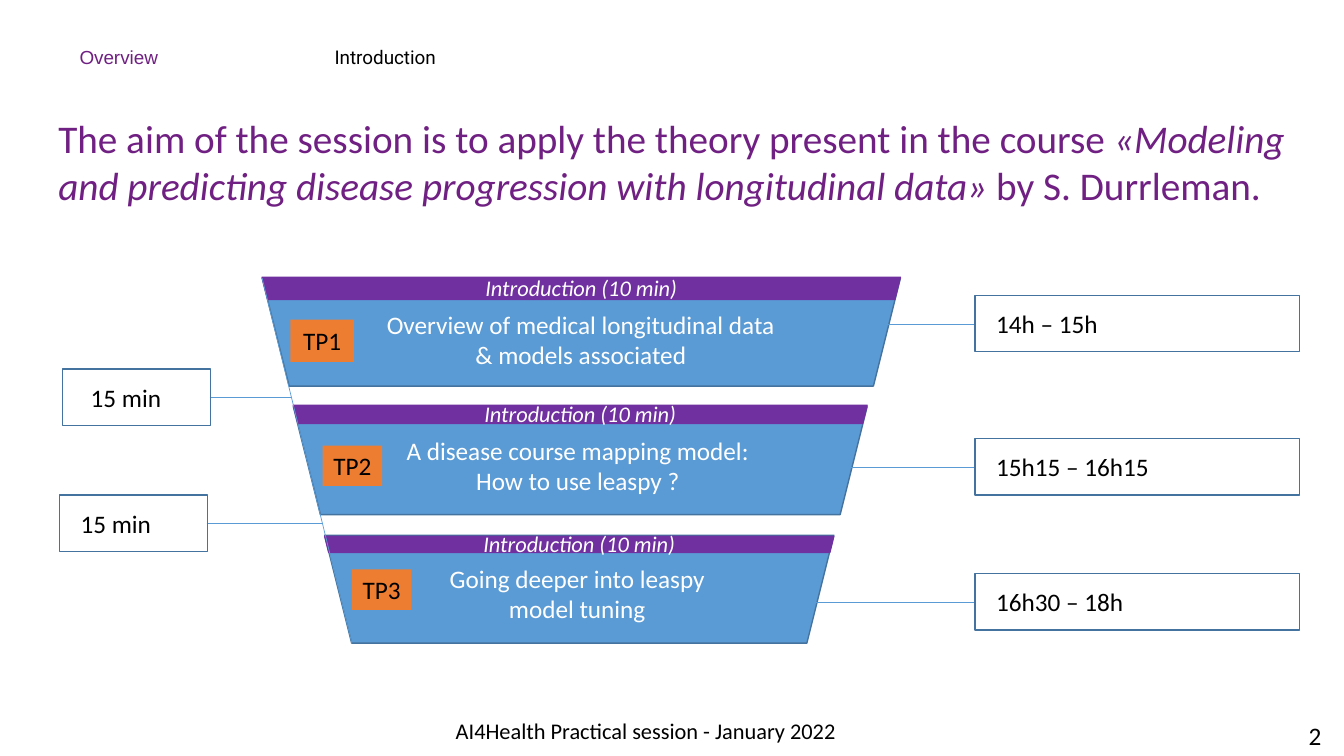
"""Build the session overview slide with its three-stage funnel."""
from lxml import etree
from pptx import Presentation
from pptx import util as u
from pptx.dml.color import RGBColor
from pptx.enum import shapes, text
from pptx.oxml import ns

CELL = u.Inches(0.1)
PURPLE, VIOLET, BLUE = "702082", "7030A0", "5B9BD5"
NAVY, ORANGE, BLACK, WHITE = "43739E", "ED7D31", "000000", "FFFFFF"
LEFT, CENTER = text.PP_ALIGN.LEFT, text.PP_ALIGN.CENTER
TOP, MIDDLE = text.MSO_ANCHOR.TOP, text.MSO_ANCHOR.MIDDLE
RECTANGLE, TRAPEZOID = shapes.MSO_SHAPE.RECTANGLE, shapes.MSO_SHAPE.TRAPEZOID

TIER_TOP, TIER_STEP, TIER_HEIGHT = 27.6, 12.75, 10.7
TIER_LEFT, TIER_INSET, TIER_WIDTH, TIER_SHRINK = 26, 3.1, 63.3, 6.4
INTRO_HEIGHT = 3.7

# Each tier: stripe (top, height), topic (left, top, width), topic text, badge box
TIERS = [
    ((27.5, 2.2), (31, 30.2, 53.2),
     "Overview of medical longitudinal data\n& models associated", (28.8, 31.7, 6.3, 4.2)),
    ((40.2, 1.8), (30.7, 42.7, 53.2),
     "A disease course mapping model:\nHow to use leaspy ?", (32, 44.2, 5.9, 4)),
    ((53.2, 1.6), (40.9, 55.4, 32.7),
     "Going deeper into leaspy model tuning", (34.9, 56.5, 5.9, 4)),
]
SCHEDULE = [("14h – 15h", 29.3, 86.3), ("15h15 – 16h15", 43.5, 83.9), ("16h30 – 18h", 56.9, 80.8)]
BREAKS = [(6.2, 36.6, 2.8, 29), (5.9, 49.1, 2.1, 32)]


def color(value):
    """Return the colour for a hex string."""
    return RGBColor.from_string(value)


def cells(*counts):
    """Turn counts of grid cells into lengths."""
    return [int(CELL * count) for count in counts]


def write(shape, content, size, ink, align=LEFT, anchor=TOP, font="Calibri", italic=False):
    """Fill a shape with evenly formatted text."""
    frame = shape.text_frame
    frame.word_wrap = True
    frame.vertical_anchor = anchor
    frame.text = content
    for paragraph in frame.paragraphs:
        paragraph.alignment = align
        for run in paragraph.runs:
            run.font.name, run.font.size = font, u.Pt(size)
            run.font.italic = italic
            run.font.color.rgb = color(ink)


def add_label(slide, box, content, size, ink, **style):
    """Add a text box and return it."""
    label = slide.shapes.add_textbox(*cells(*box))
    write(label, content, size, ink, **style)
    return label


def add_block(slide, kind, box, fill=None, line=None):
    """Add a flat preset shape and return it."""
    block = slide.shapes.add_shape(kind, *cells(*box))
    block.shadow.inherit = False
    if fill:
        block.fill.solid()
        block.fill.fore_color.rgb = color(fill)
    else:
        block.fill.background()
    if line:
        block.line.color.rgb = color(line)
        block.line.width = u.Pt(1)
    else:
        block.line.fill.background()
    return block


def add_line(slide, *ends):
    """Draw a thin blue line between two grid points."""
    line = slide.shapes.add_connector(shapes.MSO_CONNECTOR.STRAIGHT, *cells(*ends))
    line.line.color.rgb = color(BLUE)
    line.line.width = u.Pt(0.5)
    etree.SubElement(line._element.spPr, ns.qn("a:effectLst"))


def add_time(slide, box, content, indent):
    """Add an outlined box holding a time."""
    block = add_block(slide, RECTANGLE, box, line=NAVY)
    write(block, content, 18, BLACK, anchor=MIDDLE)
    block.text_frame.margin_left = cells(indent)[0]


def add_tier(slide, index, stripe, topic, content, badge):
    """Add one funnel tier with its stripe, topic and badge."""
    left = TIER_LEFT + index * TIER_INSET
    width = TIER_WIDTH - index * TIER_SHRINK
    body = (left, TIER_TOP + index * TIER_STEP, width, TIER_HEIGHT)
    add_block(slide, TRAPEZOID, body, BLUE, NAVY).rotation = 180
    top, height = stripe
    add_block(slide, TRAPEZOID, (left, top, width, height), VIOLET, VIOLET).rotation = 180
    intro_top = top + (height - INTRO_HEIGHT) / 2
    add_label(slide, (left, intro_top, width, INTRO_HEIGHT), "Introduction (10 min)",
              16, WHITE, align=CENTER, italic=True)
    add_label(slide, (*topic, 7.1), content, 18, WHITE, align=CENTER)
    block = add_block(slide, RECTANGLE, badge, ORANGE)
    write(block, f"TP{index + 1}", 18, BLACK, align=CENTER, anchor=MIDDLE)


def add_aim(slide):
    """Add the aim of the session, with the course title in italics."""
    aim = add_label(slide, (4.8, 10.8, 123.6, 11.1),
                    "The aim of the session is to apply the theory present in the course ",
                    28, PURPLE, align=text.PP_ALIGN.JUSTIFY)
    paragraph = aim.text_frame.paragraphs[0]
    course = "«Modeling and predicting disease progression with longitudinal data»"
    for content, italic in ((course, True), (" by S. Durrleman.", False)):
        run = paragraph.add_run()
        run.text = content
        run.font.name, run.font.size, run.font.italic = "Calibri", u.Pt(28), italic
        run.font.color.rgb = color(PURPLE)


def main():
    """Build and save the presentation."""
    presentation = Presentation()
    presentation.slide_width, presentation.slide_height = u.Inches(13.33), u.Inches(7.5)
    slide = presentation.slides.add_slide(presentation.slide_layouts[6])

    add_label(slide, (6.9, 3.5, 22.1, 4.2), "Overview", 13.5, PURPLE, anchor=MIDDLE, font="Arial")
    add_label(slide, (32.2, 3.5, 22.1, 4.2), "Introduction", 13.5, BLACK,
              anchor=MIDDLE, font="Roboto")
    add_aim(slide)

    for index, tier in enumerate(TIERS):
        add_tier(slide, index, *tier)
    add_line(slide, 26, 27.6, 34.9, 63.8)
    for content, top, edge in SCHEDULE:
        add_line(slide, edge, top + 2.9, 96.7, top + 2.9)
        add_time(slide, (96.7, top, 32.2, 5.6), content, 2.1)
    for left, top, indent, edge in BREAKS:
        add_line(slide, left + 14.6, top + 2.8, edge, top + 2.8)
        add_time(slide, (left, top, 14.7, 5.6), "15 min", indent)

    add_label(slide, (35.7, 70.7, 56.7, 3.7), "AI4Health Practical session - January 2022",
              16, BLACK, align=CENTER)
    add_label(slide, (128.8, 71, 4.5, 4), "2", 18, BLACK)
    presentation.save("out.pptx")


if __name__ == "__main__":
    main()
